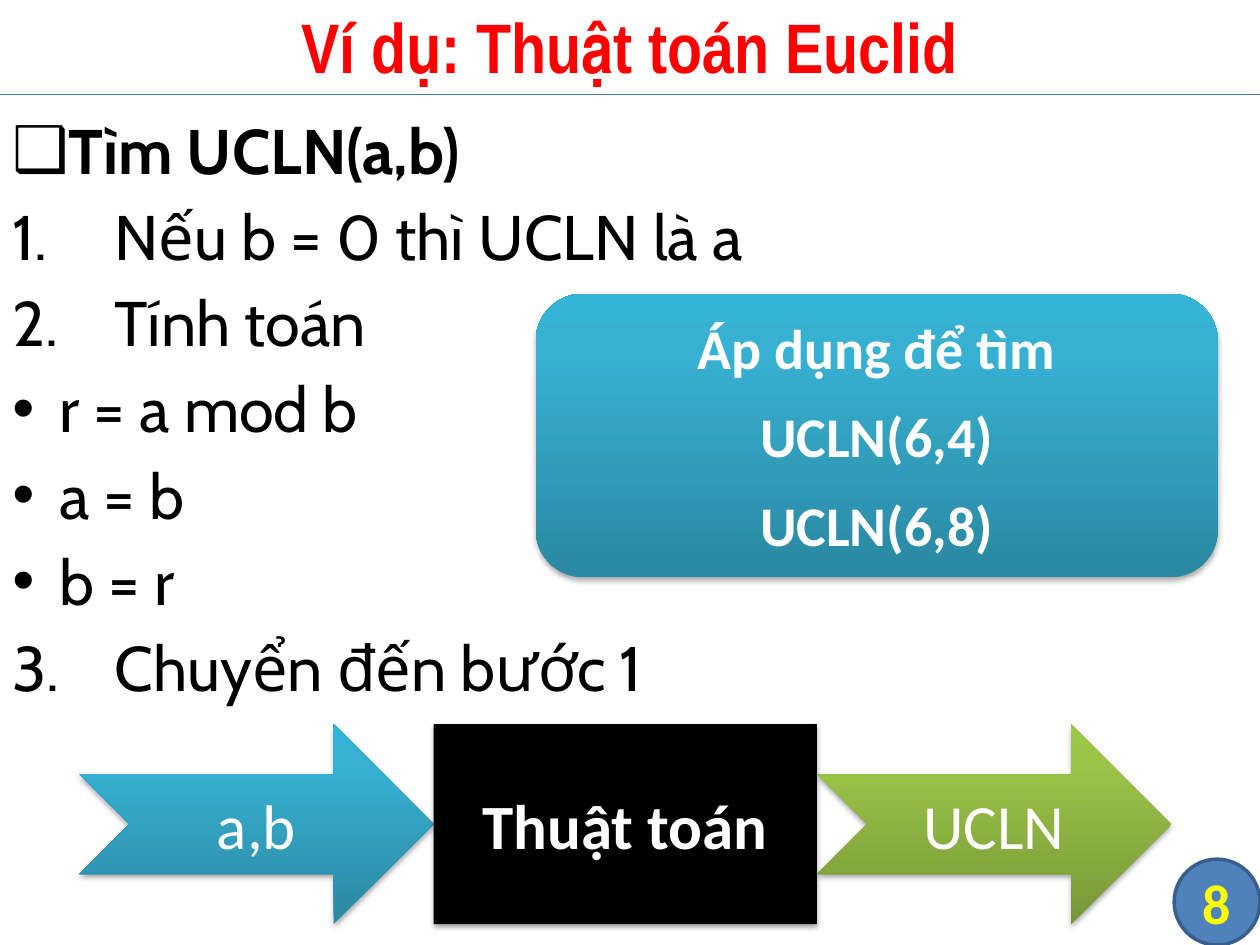
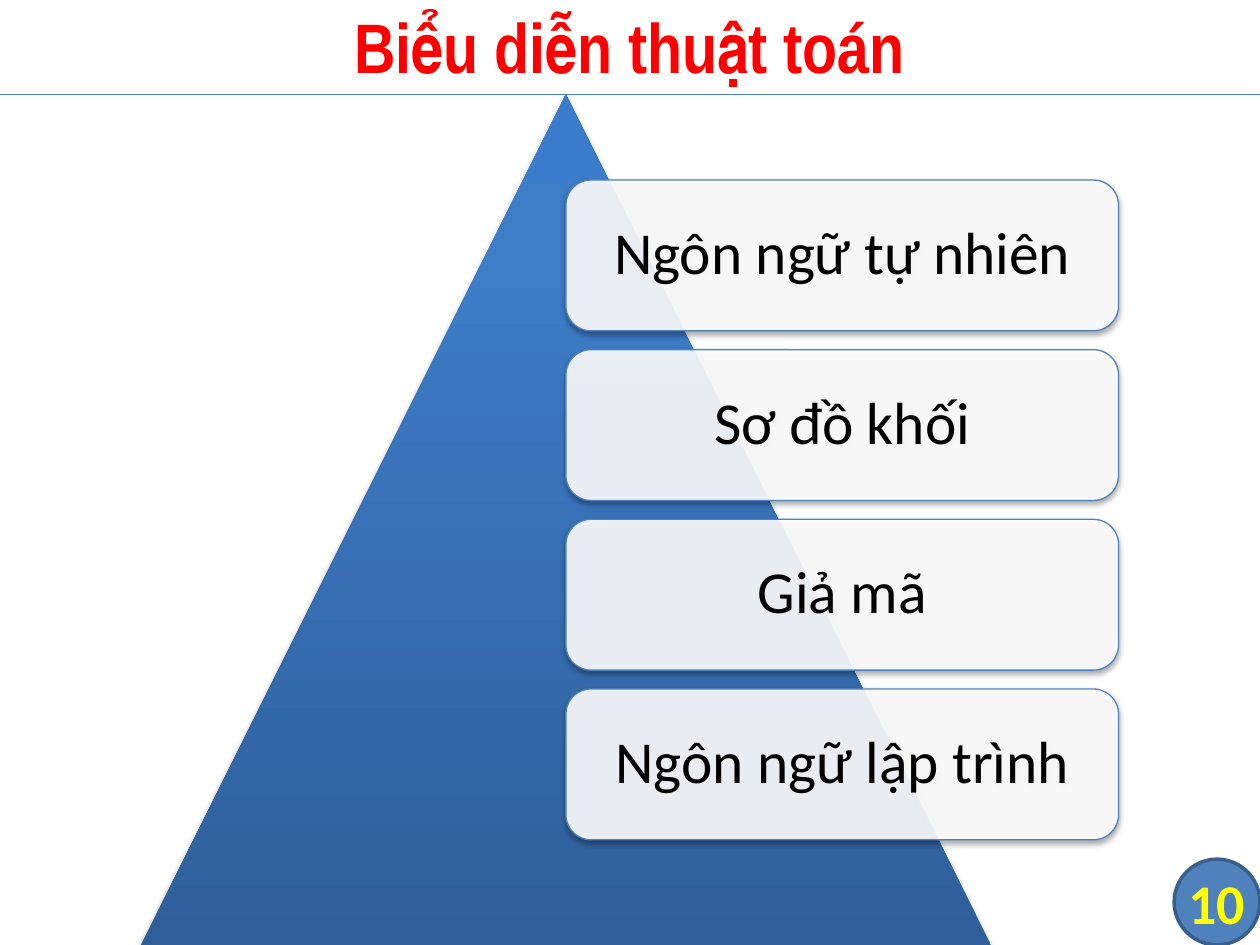
from dataclasses import dataclass

from lxml.etree import SubElement
from pptx import Presentation
from pptx.dml.color import RGBColor
from pptx.enum.shapes import MSO_CONNECTOR as Connector, MSO_SHAPE as Shape
from pptx.enum.text import MSO_ANCHOR as Anchor, PP_ALIGN as Align
from pptx.oxml.ns import qn
from pptx.util import Cm, Pt


@dataclass(frozen=True)
class Theme:
    title_red: str = "FF0000"
    rule_blue: str = "4B7EBC"
    accent_blue: str = "4F81BD"
    badge_edge: str = "3A5F8C"
    badge_yellow: str = "FFFF00"
    black: str = "000000"
    white: str = "FFFFFF"
    # Gradients run from bottom to top, as (percent, colour) stops.
    teal: tuple = ((0, "2A88A2"), (80, "37B1D2"), (100, "34B4D6"))
    green: tuple = ((0, "779737"), (80, "9BC348"), (100, "9DC746"))
    blue: tuple = ((0, "2F5F99"), (80, "3D7CC7"), (100, "3A7CCB"))
    title_font: str = "Arial Narrow"
    steps_font: str = "Cabin"
    label_font: str = "Calibri"
    title_size: int = 40
    large_size: int = 36
    card_size: int = 34
    medium_size: int = 32


THEME = Theme()
SLIDE_W, SLIDE_H = 25.4, 19.05
HEADER_H = 1.91
MARGINS = ("margin_left", "margin_top", "margin_right", "margin_bottom")


def apply_formats(target, formats):
    for attribute, value in formats.items():
        setattr(target, attribute, value)


def rgb(color):
    return RGBColor.from_string(color)


def write_line(paragraph, text, font, size, color, bold=False, **formats):
    run = paragraph.add_run()
    run.text = text
    apply_formats(run.font, {"name": font, "size": Pt(size), "bold": bold})
    run.font.color.rgb = rgb(color)
    apply_formats(paragraph, formats)


def write_centred(holder, lines, *style, bold=False, inset=None, wrap=True, **formats):
    """Fill a shape with centred lines; style is font, size and colour."""
    frame = holder.text_frame
    apply_formats(frame, {"word_wrap": wrap, "vertical_anchor": Anchor.MIDDLE})
    if inset is not None:
        apply_formats(frame, dict.fromkeys(MARGINS, Cm(inset)))
    for index, text in enumerate(lines):
        paragraph = frame.add_paragraph() if index else frame.paragraphs[0]
        write_line(paragraph, text, *style, bold, alignment=Align.CENTER, **formats)


def fill_gradient(shape, stops):
    shape.fill.gradient()
    shape.fill.gradient_angle = 90
    stop_list = shape._element.spPr.find(".//" + qn("a:gsLst"))
    stop_list.clear()
    for percent, color in stops:
        stop = SubElement(stop_list, qn("a:gs"), pos=str(percent * 1000))
        SubElement(stop, qn("a:srgbClr"), val=color)


def set_opacity(shape, percent):
    color = shape._element.spPr.find(qn("a:solidFill")).find(qn("a:srgbClr"))
    SubElement(color, qn("a:alpha"), val=str(percent * 1000))


def cast_shadow(shape):
    effects = shape._element.spPr.find(qn("a:effectLst"))
    shadow = SubElement(effects, qn("a:outerShdw"), blurRad="40000", dist="23000",
                        dir="5400000", rotWithShape="0")
    color = SubElement(shadow, qn("a:srgbClr"), val=THEME.black)
    SubElement(color, qn("a:alpha"), val="35000")


def add_block(slide, preset, box, fill, edge=None, edge_width=0.75, shadow=True):
    """Add a preset shape; fill is a colour or a tuple of gradient stops."""
    block = slide.shapes.add_shape(preset, *map(Cm, box))
    block.shadow.inherit = False
    if isinstance(fill, str):
        block.fill.solid()
        block.fill.fore_color.rgb = rgb(fill)
    else:
        fill_gradient(block, fill)
    if edge:
        block.line.color.rgb = rgb(edge)
        block.line.width = Pt(edge_width)
    else:
        block.line.fill.background()
    if shadow:
        cast_shadow(block)
    return block


def add_frame(slide, title, number):
    """Add the title, the header rule and the page badge that all slides share."""
    rule = slide.shapes.add_connector(
        Connector.STRAIGHT, 0, Cm(HEADER_H), Cm(SLIDE_W), Cm(HEADER_H))
    rule.line.color.rgb = rgb(THEME.rule_blue)
    rule.line.width = Pt(0.75)
    SubElement(rule._element.spPr, qn("a:effectLst"))

    heading = slide.shapes.add_textbox(0, Cm(-0.08), Cm(SLIDE_W), Cm(1.98))
    write_centred(heading, [title], THEME.title_font, THEME.title_size,
                  THEME.title_red, bold=True)

    side = 1.73
    badge = add_block(slide, Shape.FLOWCHART_CONNECTOR,
                      (SLIDE_W - side, SLIDE_H - side, side, side),
                      THEME.accent_blue, THEME.badge_edge, 2, shadow=False)
    write_centred(badge, [str(number)], THEME.label_font, THEME.medium_size,
                  THEME.badge_yellow, bold=True, inset=0, wrap=False)


def set_marker(paragraph, marker):
    """Give a hanging marker: a step number or a bullet character."""
    numbered = isinstance(marker, int)
    hang = Cm(2.06 if numbered else 0.95)
    properties = paragraph._p.get_or_add_pPr()
    properties.set("marL", str(hang))
    properties.set("indent", str(-hang))
    if numbered:
        # Steps 1 and 2 share one list; step 3 resumes after the bullets.
        start = {"startAt": str(marker)} if marker > 2 else {}
        SubElement(properties, qn("a:buAutoNum"), type="arabicPeriod", **start)
    else:
        SubElement(properties, qn("a:buFont"), typeface="Arial")
        SubElement(properties, qn("a:buChar"), char=marker)


def add_steps(slide, steps):
    body = slide.shapes.add_textbox(
        0, Cm(HEADER_H), Cm(SLIDE_W), Cm(SLIDE_H - HEADER_H)).text_frame
    body.word_wrap = True
    for index, (marker, text) in enumerate(steps):
        paragraph = body.add_paragraph() if index else body.paragraphs[0]
        write_line(paragraph, text, THEME.steps_font, THEME.large_size, THEME.black,
                   bold=index == 0, line_spacing=1.14)
        set_marker(paragraph, marker)


def add_flow(slide, stages):
    """Set the stages edge to edge in one row."""
    left = 1.6
    for preset, width, fill, text, bold in stages:
        stage = add_block(slide, preset, (left, 14.6, width, 4.03), fill)
        write_centred(stage, [text], THEME.label_font, THEME.large_size,
                      THEME.white, bold=bold)
        left += width


def add_cards(slide, labels):
    height, gap = 3.04, 0.38
    for row, label in enumerate(labels):
        top = 3.63 + row * (height + gap)
        card = add_block(slide, Shape.ROUNDED_RECTANGLE, (11.41, top, 11.14, height),
                         THEME.white, THEME.accent_blue)
        set_opacity(card, 90)
        write_centred(card, [label], THEME.label_font, THEME.card_size, THEME.black,
                      inset=0.36, line_spacing=0.9)


def build_euclid(slide):
    add_frame(slide, "Ví dụ: Thuật toán Euclid", 8)
    add_steps(slide, [
        ("❑", "Tìm UCLN(a,b)"),
        (1, "Nếu b = 0 thì UCLN là a"),
        (2, "Tính toán"),
        ("•", "r = a mod b"),
        ("•", "a = b"),
        ("•", "b = r"),
        (3, "Chuyển đến bước 1"),
    ])
    exercise = add_block(slide, Shape.ROUNDED_RECTANGLE, (10.8, 5.92, 13.75, 5.72),
                         THEME.teal)
    write_centred(exercise, ["Áp dụng để tìm", "UCLN(6,4)", "UCLN(6,8)"],
                  THEME.label_font, THEME.medium_size, THEME.white, bold=True,
                  space_before=Pt(6), space_after=Pt(6))
    add_flow(slide, [
        (Shape.NOTCHED_RIGHT_ARROW, 7.14, THEME.teal, "a,b", False),
        (Shape.RECTANGLE, 7.73, THEME.black, "Thuật toán", True),
        (Shape.NOTCHED_RIGHT_ARROW, 7.14, THEME.green, "UCLN", False),
    ])


def build_representations(slide):
    add_frame(slide, "Biểu diễn thuật toán", 10)
    side = SLIDE_H - HEADER_H
    add_block(slide, Shape.ISOSCELES_TRIANGLE, (2.84, HEADER_H, side, side), THEME.blue)
    add_cards(slide, ["Ngôn ngữ tự nhiên", "Sơ đồ khối", "Giả mã",
                      "Ngôn ngữ lập trình"])


def main():
    deck = Presentation()
    apply_formats(deck, {"slide_width": Cm(SLIDE_W), "slide_height": Cm(SLIDE_H)})
    for build in (build_euclid, build_representations):
        build(deck.slides.add_slide(deck.slide_layouts[6]))
    deck.save("out.pptx")


if __name__ == "__main__":
    main()
